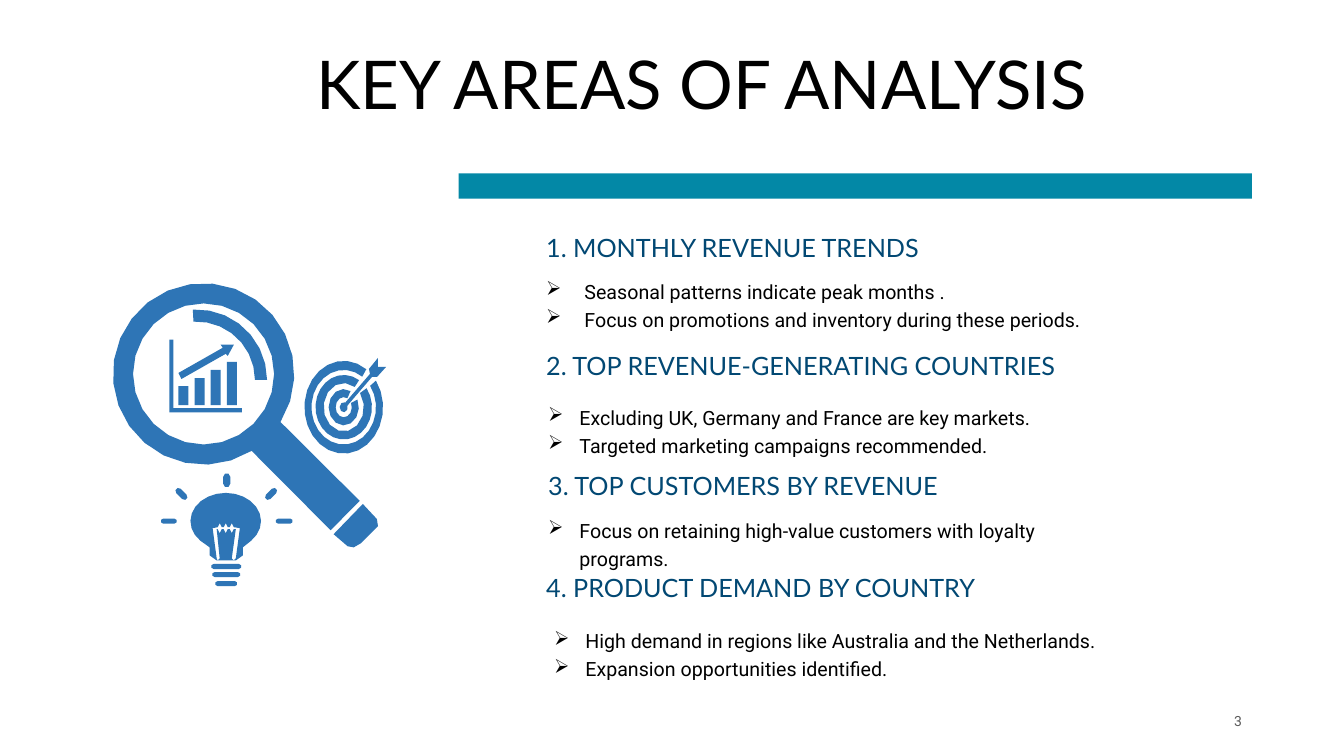
import math
from lxml import etree
from pptx import Presentation
from pptx import util as u
from pptx.dml.color import RGBColor
from pptx.enum import shapes, text
from pptx.oxml import ns

# Content; lengths in px, 100 to the inch
TITLE = "KEY AREAS OF ANALYSIS"
PAGE_NUMBER = "3"
# heading, its box (left, top), line spacing; points, their box, indent
AREAS = [
    ("1. MONTHLY REVENUE TRENDS", (532, 231), 0.8,
     ["Seasonal patterns indicate peak months .",
      "Focus on promotions and inventory during these periods."], (532, 268, 560, 70), 38),
    ("2. TOP REVENUE-GENERATING COUNTRIES", (532, 346), 0.9,
     ["Excluding UK, Germany and France are key markets.",
      "Targeted marketing campaigns recommended."], (534, 393, 560, 88), 31),
    ("3. TOP CUSTOMERS BY REVENUE", (534, 465), 0.9,
     ["Focus on retaining high-value customers with loyalty programs."],
     (534, 505, 572, 52), 31),
    ("4. PRODUCT DEMAND BY COUNTRY", (532, 566), 0.9,
     ["High demand in regions like Australia and the Netherlands.",
      "Expansion opportunities identified."], (540, 615, 560, 70), 31),
]
HEADING_SIZE = (560, 35)

TEAL = RGBColor(0x03, 0x88, 0xA6)
NAVY = RGBColor(0x02, 0x48, 0x73)
BLUE = RGBColor(0x2E, 0x75, 0xB6)
BLACK = RGBColor(0, 0, 0)
GREY = RGBColor(0x59, 0x59, 0x59)

# Icon geometry
LENS = (202, 371)
GLARE = (195, 377)
HANDLE = [(357, 497), (328, 526)]
HANDLE_CAP = [(360, 500), (374, 515), (375, 522), (358, 539), (351, 543), (345, 542), (331, 530)]
CHART_AXES = [(168, 337), (172, 337), (172, 405), (240, 405), (240, 409), (168, 409)]
CHART_ARROW = [(219, 342), (232, 342), (226, 353), (224, 351), (180, 376), (177, 370), (221, 345)]
BULLSEYE = (341, 404)
# outer radii, inner radii, first and last angle of the slot for the dart
TARGET_RINGS = [((39, 46), (32, 37), -35, -55), ((28, 32), (20, 24), -36, -57),
                ((15, 18), (8, 10), -25, -63)]
DART = [(342, 400), (367, 371), (366, 366), (375, 355), (375, 364), (383, 364),
        (374, 374), (369, 374), (345, 402)]
BULB = (224, 517)
BULB_NECK = [(241, 543), (241, 551), (234, 556), (215, 556), (208, 551), (208, 543)]
COILS = [218, 224, 230]
# start, end, thickness
RAYS_AND_SCREW = [
    ((162, 517), (173, 517), 5), ((276, 517), (288, 517), 5), ((225, 473), (225, 480), 7),
    ((177, 487), (183, 493), 6), ((272, 487), (266, 493), 6),
    ((212, 562), (237, 562), 5), ((213, 570), (236, 570), 5), ((216, 579), (233, 579), 5),
]


def px(length):
    return u.Emu(round(length * 9144))


def arc(center, radii, start, end):
    """Points on an ellipse, angles in degrees, clockwise from the right."""
    step = 15 if max(radii) > 25 else 30 if max(radii) > 5 else 60
    steps = math.ceil(abs(end - start) / step)
    angles = [math.radians(start + (end - start) * i / steps) for i in range(steps + 1)]
    return [(center[0] + radii[0] * math.cos(a), center[1] + radii[1] * math.sin(a))
            for a in angles]


def band(center, outer, inner, start, end):
    return arc(center, outer, start, end) + arc(center, inner, end, start)


def pill(start, end, thickness):
    heading = math.degrees(math.atan2(end[1] - start[1], end[0] - start[0]))
    radii = (thickness / 2, thickness / 2)
    return (arc(end, radii, heading - 90, heading + 90)
            + arc(start, radii, heading + 90, heading + 270))


def filament():
    crest = [(x + dx, y) for x in COILS for dx, y in [(-2, 523), (0, 519), (2, 523)]]
    trough = [(x + dx, y) for x in reversed(COILS)
              for dx, y in [(2, 525), (0, 529), (-2, 525)]]
    right_leg = [(238, 524), (234, 554), (232, 556), (230, 554), (234, 525)]
    left_leg = [(215, 525), (218, 554), (216, 556), (215, 554), (211, 524)]
    return crest + right_leg + trough + left_leg


def paint(shape, color):
    shape.shadow.inherit = False
    shape.fill.solid()
    shape.fill.fore_color.rgb = color
    shape.line.fill.background()


def add_icon(slide, contours):
    outlines = [[(px(x), px(y)) for x, y in contour] for contour in contours]
    builder = slide.shapes.build_freeform(*outlines[0][0], scale=1.0)
    for number, outline in enumerate(outlines):
        if number:
            builder.move_to(*outline[0])
        builder.add_line_segments(outline[1:], close=True)
    paint(builder.convert_to_shape(), BLUE)


def add_text(slide, box, lines, font, size, color, spacing=None, middle=False):
    frame = slide.shapes.add_textbox(*map(px, box)).text_frame
    frame.word_wrap = True
    frame.vertical_anchor = text.MSO_ANCHOR.MIDDLE if middle else text.MSO_ANCHOR.TOP
    frame.text = "\n".join(lines)
    for paragraph in frame.paragraphs:
        paragraph.line_spacing = spacing
        run_font = paragraph.runs[0].font
        run_font.name, run_font.size = font, u.Pt(size)
        run_font.color.rgb = color
    return frame.paragraphs


def add_arrow_bullet(paragraph, indent):
    properties = paragraph._p.get_or_add_pPr()
    properties.set("marL", str(px(indent)))
    properties.set("indent", str(-px(indent)))
    etree.SubElement(properties, ns.qn("a:buChar")).set("char", "➢")


def main():
    deck = Presentation()
    deck.slide_width, deck.slide_height = u.Emu(12192000), px(750)
    slide = deck.slides.add_slide(deck.slide_layouts[6])

    rule = slide.shapes.add_shape(shapes.MSO_SHAPE.RECTANGLE, *map(px, (455, 172, 787, 25)))
    paint(rule, TEAL)
    add_text(slide, (304, 12, 826, 151), [TITLE], "Lato", 48, BLACK, 0.9, middle=True)

    for heading, corner, spacing, points, box, indent in AREAS:
        topic = add_text(slide, corner + HEADING_SIZE, [heading], "Lato", 18, NAVY, spacing)
        topic[0].space_before = u.Pt(10)
        for point in add_text(slide, box, points, "Roboto", 14, BLACK, u.Pt(20)):
            add_arrow_bullet(point, indent)

    page = add_text(slide, (942, 695, 300, 40), [PAGE_NUMBER], "Roboto", 10, GREY, middle=True)
    page[0].alignment = text.PP_ALIGN.RIGHT

    magnifier = [arc(LENS, (90, 90), 58, 392) + HANDLE, arc(LENS, (70, 70), 0, 360),
                 band(GLARE, (70, 70), (58, 58), -93, 0), HANDLE_CAP]
    bars = [[(x, top), (x + 10, top), (x + 10, 402), (x, 402)]
            for x, top in zip(range(177, 240, 16), range(383, 350, -8))]
    target = [band(BULLSEYE, outer, inner, first, last + 360)
              for outer, inner, first, last in TARGET_RINGS]
    dart = DART + arc(BULLSEYE, (4, 5), -20, 285)
    bulb = [arc(BULB, (35, 28), 136, 404) + BULB_NECK, filament()]

    add_icon(slide, magnifier)
    add_icon(slide, bars + [CHART_ARROW, CHART_AXES])
    add_icon(slide, target + [dart])
    add_icon(slide, bulb + [pill(*stroke) for stroke in RAYS_AND_SCREW])

    deck.save("out.pptx")


if __name__ == "__main__":
    main()
